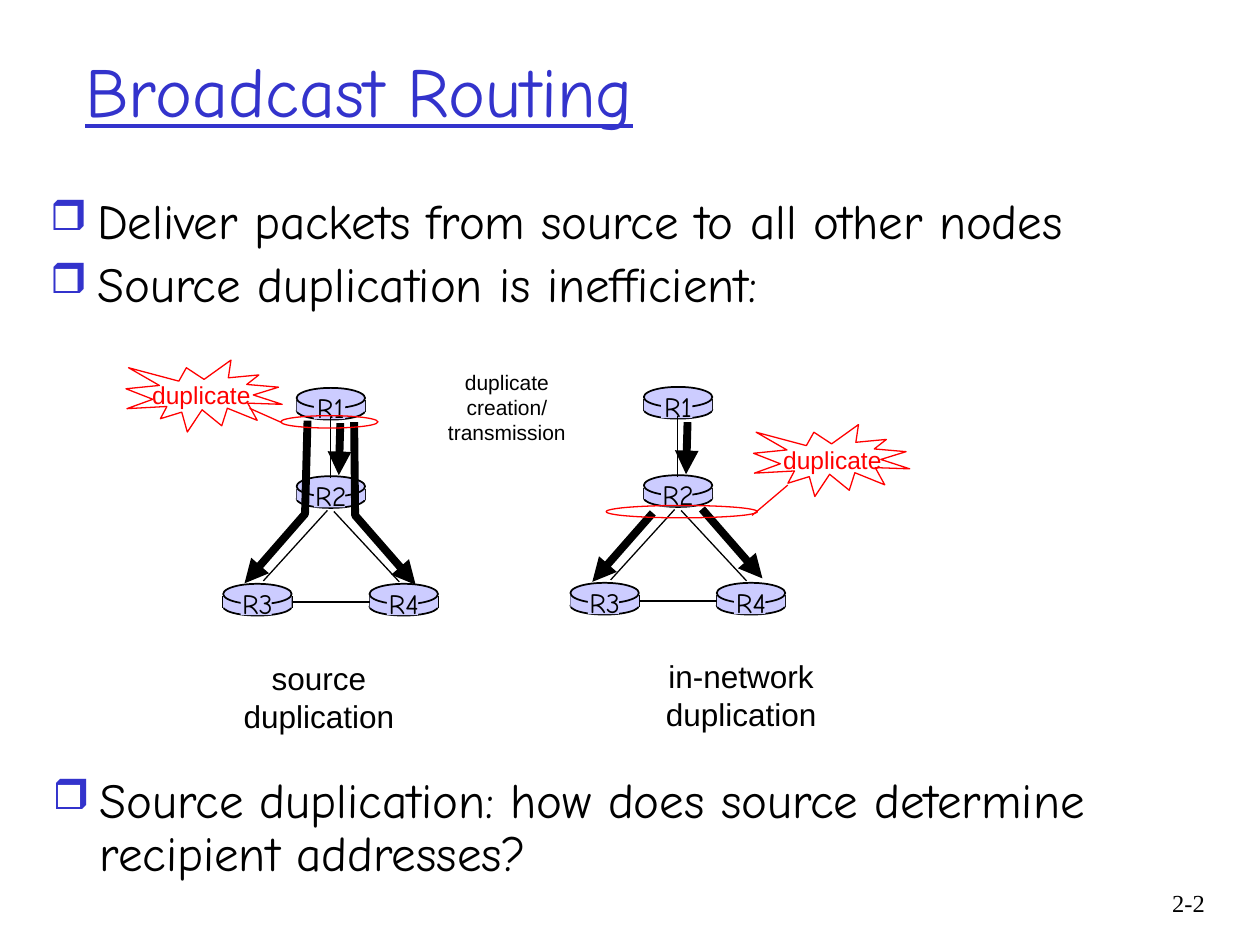
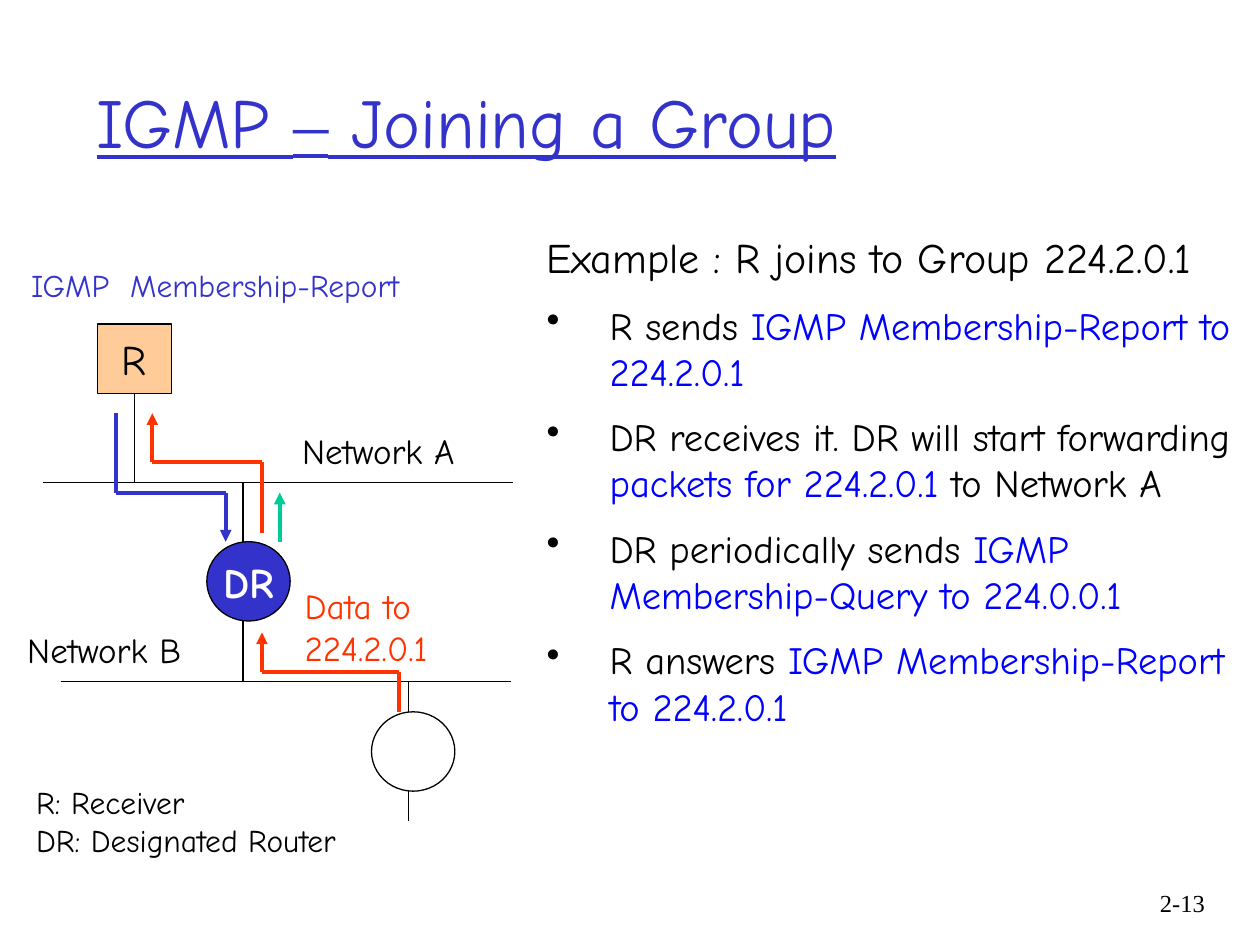
from itertools import pairwise

from lxml import etree
from pptx import Presentation
from pptx.dml.color import RGBColor
from pptx.enum.shapes import MSO_CONNECTOR, MSO_SHAPE
from pptx.enum.text import MSO_ANCHOR, PP_ALIGN
from pptx.oxml.ns import qn
from pptx.util import Cm, Pt

BLACK = RGBColor(0x00, 0x00, 0x00)
WHITE = RGBColor(0xFF, 0xFF, 0xFF)
INDIGO = RGBColor(0x33, 0x33, 0xCC)
LILAC = RGBColor(0xCC, 0xCC, 0xFF)
BLUE = RGBColor(0x00, 0x00, 0xFF)
RED = RGBColor(0xFF, 0x00, 0x00)
ORANGE = RGBColor(0xFF, 0x33, 0x00)
PEACH = RGBColor(0xFF, 0xCC, 0x99)
GREEN = RGBColor(0x00, 0xCC, 0x99)

COMIC = "Comic Neue"
ARIAL = "Arial"
TIMES = "Times New Roman"

LEFT, CENTER, RIGHT = PP_ALIGN.LEFT, PP_ALIGN.CENTER, PP_ALIGN.RIGHT
MIDDLE = MSO_ANCHOR.MIDDLE
RECT, OVAL, SEAL = MSO_SHAPE.RECTANGLE, MSO_SHAPE.OVAL, MSO_SHAPE.EXPLOSION1
STRAIGHT = MSO_CONNECTOR.STRAIGHT


def write(shape, paras, size, color=BLACK, font=COMIC, align=LEFT, wrap=True,
          gap=0, lead=None, sign=None, indent=0, skip=0):
    frame = shape.text_frame
    frame.word_wrap = wrap
    for i, runs in enumerate(paras):
        para = frame.paragraphs[0] if i == 0 else frame.add_paragraph()
        para.alignment = align
        para.line_spacing = lead
        para.space_before = Pt(gap if i else 0)
        if sign and i >= skip:
            props = para._p.get_or_add_pPr()
            props.set("marL", str(Cm(indent)))
            props.set("indent", str(-Cm(indent)))
            if sign == "❒":
                tint = etree.SubElement(props, qn("a:buClr"))
                etree.SubElement(tint, qn("a:srgbClr")).set("val", str(INDIGO))
                etree.SubElement(props, qn("a:buSzPct")).set("val", "85000")
            etree.SubElement(props, qn("a:buChar")).set("char", sign)
        for text, tone in [(r, color) if isinstance(r, str) else r for r in runs]:
            run = para.add_run()
            run.text = text
            run.font.name = font
            run.font.size = Pt(size)
            run.font.color.rgb = tone
    return frame


def link(slide, points, color=BLACK, width=0.75, arrow=False):
    spots = [(Cm(x), Cm(y)) for x, y in points]
    if len(spots) == 2:
        line = slide.shapes.add_connector(STRAIGHT, *spots[0], *spots[1])
    else:
        pen = slide.shapes.build_freeform(*spots[0])
        pen.add_line_segments(spots[1:], close=False)
        line = pen.convert_to_shape()
        line.fill.background()
    line.line.color.rgb = color
    line.line.width = Pt(width)
    if arrow:
        edge = line.line._get_or_add_ln()
        etree.SubElement(edge, qn("a:tailEnd")).set("type", "triangle")
    etree.SubElement(line._element.spPr, qn("a:effectLst"))
    return line


deck = Presentation()
deck.slide_width, deck.slide_height = Cm(25.4), Cm(19.05)
forms = []
slides = []

for box, words, page in [
    ((1.47, 0.41, 21.59, 2.77), ["Broadcast Routing"], "2-2"),
    ((1.7, 0.84, 21.59, 3.18), ["IGMP ", "–", " Joining a Group"], "2-13"),
]:
    slide = deck.slides.add_slide(deck.slide_layouts[6])
    slides.append(slide)
    frame = write(slide.shapes.add_textbox(*map(Cm, box)), [words], 40, INDIGO)
    frame.vertical_anchor = MIDDLE
    for run in frame.paragraphs[0].runs:
        run.font.underline = True
        if run.text == "–":
            run.font.name = TIMES
    foot = slide.shapes.add_textbox(*map(Cm, (22.66, 17.78, 1.88, 1.27)))
    write(foot, [[page]], 14, font=TIMES, align=RIGHT)

cast, join = slides

for box, paras in [
    ((0.76, 3.84, 23.83, 2.69), [["Deliver packets from source to all other nodes"],
                                 ["Source duplication is inefficient:"]]),
    ((0.81, 15.52, 23.11, 2.69),
     [["Source duplication: how does source determine recipient addresses?"]]),
]:
    write(cast.shapes.add_textbox(*map(Cm, box)), paras, 28,
          gap=6, lead=0.9, sign="❒", indent=0.95)

NODES = {"R1": (5.98, 7.82), "R2": (5.98, 9.6), "R3": (4.5, 11.77), "R4": (7.45, 11.77)}
WIDE = 1.38
PARTS = [
    (OVAL, 0, 0.28, WIDE, 0.36, BLACK),
    (RECT, 0, 0.25, WIDE, 0.23, None),
    (OVAL, 0, 0, WIDE, 0.41, BLACK),
    (RECT, 0.35, 0.05, 0.63, 0.58, None),
]
WIRES = [
    [(6.66, 8.41), (6.66, 9.63)],
    [(6.6, 10.29), (5.31, 11.71)],
    [(6.73, 10.31), (8.05, 11.73)],
]

for shift, drop in [(0, 0), (7, -0.02)]:
    belts = {}
    for name, (left, top) in NODES.items():
        x, y = left + shift, top + drop
        for side in (x, x + WIDE):
            link(cast, [(side, y + 0.25), (side, y + 0.48)], width=1)
        for kind, dx, dy, w, h, edge in PARTS:
            part = cast.shapes.add_shape(kind, *map(Cm, (x + dx, y + dy, w, h)))
            forms.append((part, LILAC, edge, 1))
            if w == WIDE and kind == RECT:
                belts[name] = part
        tag = cast.shapes.add_textbox(*map(Cm, (x + 0.08, y - 0.08, 1.22, 0.94)))
        write(tag, [[name]], 16, align=CENTER, wrap=False)
    for wire in WIRES:
        link(cast, [(x + shift, y + drop) for x, y in wire])
    base = link(cast, [(5.88, 12.12), (7.45, 12.12)])
    base.begin_connect(belts["R3"], 3)
    base.end_connect(belts["R4"], 1)
    link(cast, [(6.86 + shift, 8.53 + drop), (6.83 + shift, 9.58 + drop)],
         width=4.5, arrow=True)

for flow in [
    [(7.14, 8.51), (7.16, 10.39), (8.38, 11.79)],
    [(6.2, 8.48), (6.15, 10.36), (4.93, 11.76)],
    [(14.15, 10.26), (15.37, 11.66)],
    [(13.16, 10.34), (11.94, 11.73)],
]:
    link(cast, flow, width=4.5, arrow=True)

for x, y, size, wide, lines in [
    (4.65, 13.16, 18, 3.56, ["source", "duplication"]),
    (13.16, 13.13, 18, 3.56, ["in-network", "duplication"]),
    (8.57, 7.32, 12, 3.3, ["duplicate", "creation/transmission"]),
]:
    note = cast.shapes.add_textbox(*map(Cm, (x, y, wide, 1.78)))
    write(note, [[line] for line in lines], size, font=ARIAL, align=CENTER)

for seal, tag, ring, tail in [
    ((2.54, 7.26), (2.82, 7.54), (5.66, 8.38, 1.96, 0.25), [(5.66, 8.51), (5.03, 8.23)]),
    ((15.19, 8.56), (15.54, 8.84), (12.22, 10.19, 3.05, 0.25), [(15.88, 9.78), (15.16, 10.39)]),
]:
    for kind, box in [(SEAL, (*seal, 3.15, 1.45)), (OVAL, ring)]:
        forms.append((cast.shapes.add_shape(kind, *map(Cm, box)), None, RED, 0.75))
    note = cast.shapes.add_textbox(*map(Cm, (*tag, 2.49, 0.84)))
    write(note, [["duplicate"]], 14, RED, ARIAL, wrap=False)
    link(cast, tail, RED)

steps = [
    ["Example : R joins to Group 224.2.0.1"],
    ["R sends ", ("IGMP Membership-Report to 224.2.0.1", BLUE)],
    ["DR receives it. DR will start forwarding ", ("packets for 224.2.0.1", BLUE),
     " to Network A"],
    ["DR periodically sends ", ("IGMP Membership-Query to 224.0.0.1", BLUE)],
    ["R answers ", ("IGMP Membership-Report to 224.2.0.1", BLUE)],
]
body = join.shapes.add_textbox(*map(Cm, (10.77, 4.55, 14.63, 12.65)))
frame = write(body, steps, 22, gap=11, sign="•", indent=1.27, skip=1)
frame.paragraphs[0].runs[0].font.size = Pt(24)

host = join.shapes.add_shape(RECT, *map(Cm, (1.96, 6.53, 1.5, 1.4)))
forms.append((host, PEACH, BLACK, 0.75))
write(host, [["R"]], 24, align=CENTER, wrap=False).vertical_anchor = MIDDLE

for wire in [
    [(0.86, 9.73), (10.34, 9.73)],
    [(1.22, 13.74), (10.31, 13.74)],
    [(8.23, 13.74), (8.23, 16.56)],
    [(4.9, 9.73), (4.9, 13.74)],
]:
    link(join, wire)
link(join, [(2.71, 7.93), (2.71, 9.73)]).begin_connect(host, 2)

for x, y, fill, name in [(7.49, 14.35, WHITE, ""), (4.17, 10.92, INDIGO, "DR")]:
    node = join.shapes.add_shape(OVAL, *map(Cm, (x, y, 1.68, 1.6)))
    forms.append((node, fill, BLACK, 0.75))
    if name:
        frame = write(node, [[name]], 24, WHITE, align=CENTER, wrap=False)
        frame.vertical_anchor = MIDDLE
        frame.paragraphs[0].runs[0].font.bold = True

for color, route in [
    (ORANGE, [(8.05, 14.35), (8.05, 13.54), (5.28, 13.54), (5.28, 12.75)]),
    (INDIGO, [(2.34, 8.33), (2.34, 9.93), (4.55, 9.93), (4.55, 10.92)]),
    (ORANGE, [(5.28, 10.74), (5.28, 9.32), (3.07, 9.32), (3.07, 8.33)]),
    (GREEN, [(5.64, 10.92), (5.64, 9.93)]),
]:
    for start, end in pairwise(route):
        link(join, [start, end], color, 2.25, end == route[-1])

for box, size, color, lines in [
    ((0.48, 15.67, 7.62, 1.78), 18, BLACK, ["R: Receiver", "DR: Designated Router"]),
    ((5.89, 11.66, 4.11, 1.96), 20, ORANGE, ["Data to 224.2.0.1"]),
    ((0.38, 5.23, 8.81, 1.02), 18, INDIGO, ["IGMP  Membership-Report"]),
    ((5.84, 8.53, 5, 1.12), 20, BLACK, ["Network A"]),
    ((0.3, 12.55, 4.7, 1.12), 20, BLACK, ["Network B"]),
]:
    write(join.shapes.add_textbox(*map(Cm, box)), [[line] for line in lines], size, color)

for form, fill, edge, width in forms:
    form.shadow.inherit = False
    if fill:
        form.fill.solid()
        form.fill.fore_color.rgb = fill
    else:
        form.fill.background()
    if edge:
        form.line.color.rgb = edge
        form.line.width = Pt(width)
    else:
        form.line.fill.background()

deck.save("out.pptx")
